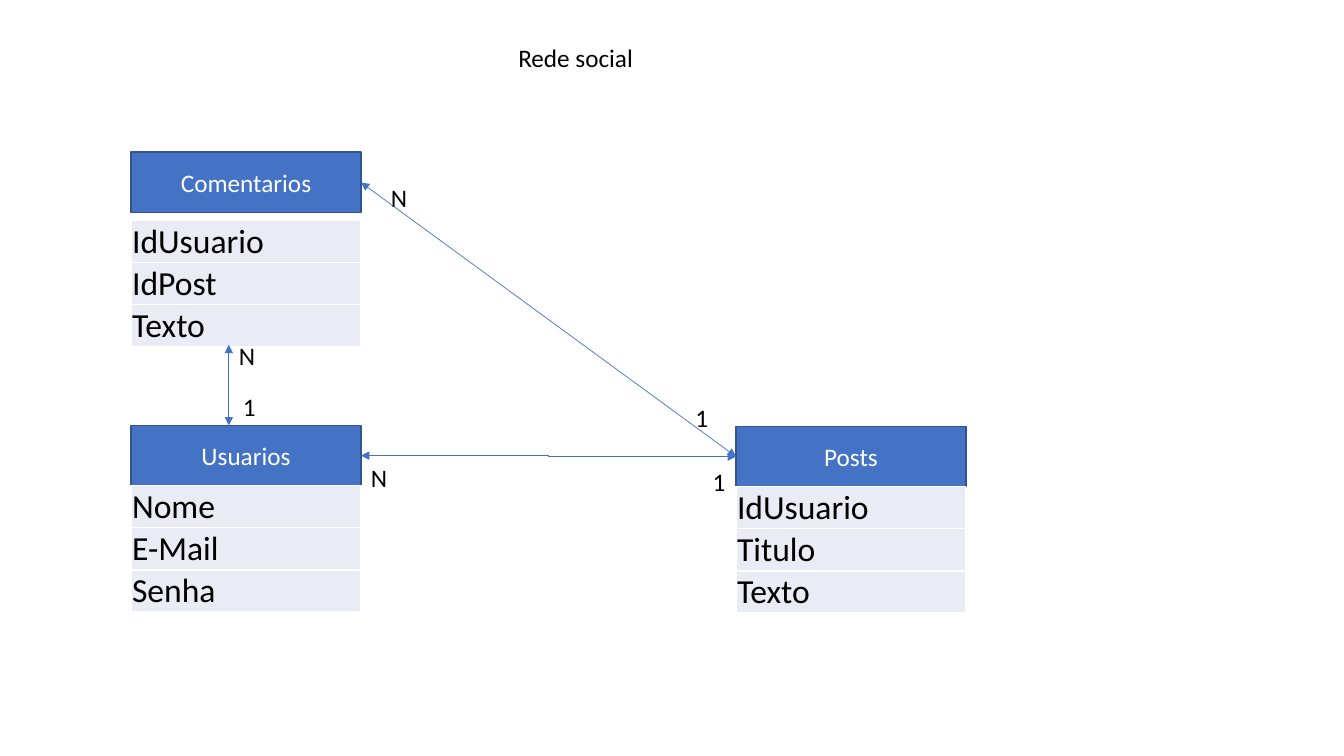
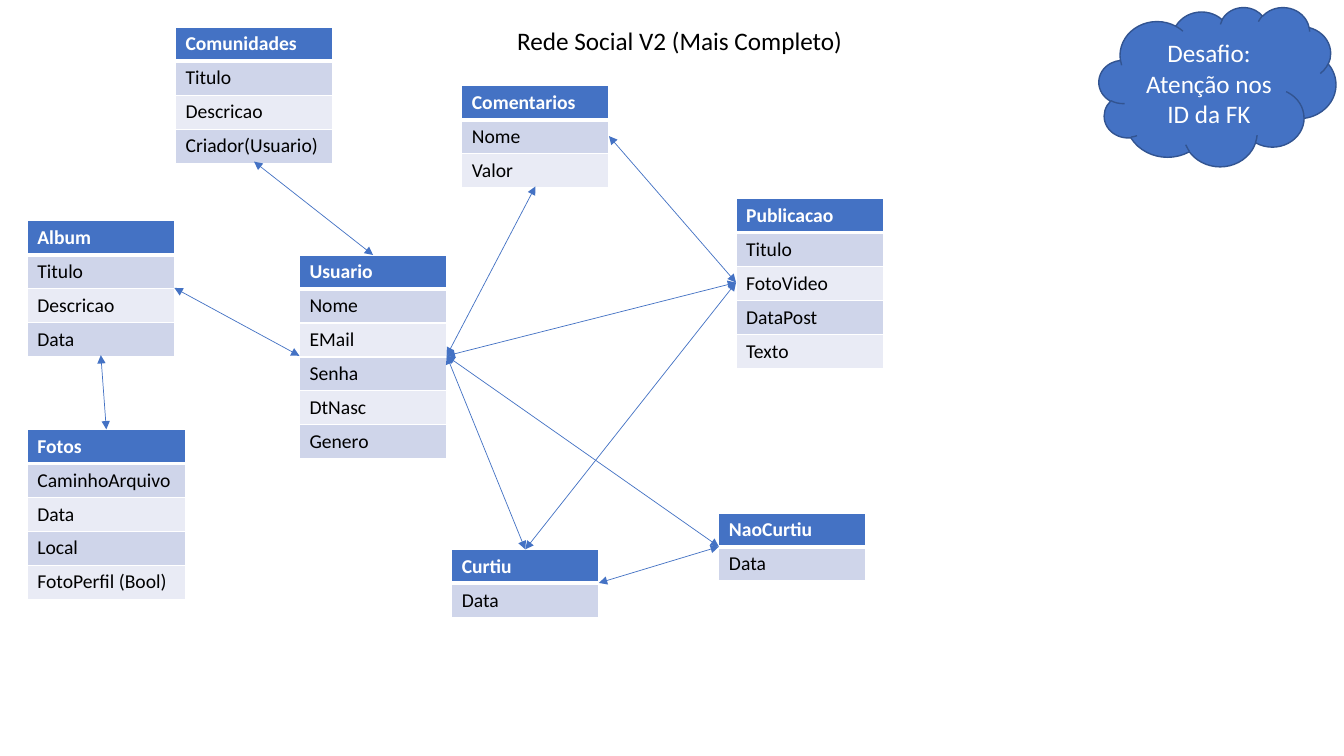
from dataclasses import dataclass

from lxml import etree
from pptx import Presentation
from pptx import util as u
from pptx.dml.color import RGBColor
from pptx.enum import shapes, text
from pptx.oxml import ns

TOP, LEFT, BOTTOM, RIGHT = range(4)


@dataclass(frozen=True)
class Theme:
    """Colours, type sizes and measures shared by the slides."""

    font: str = "Calibri"
    blue: str = "4472C4"
    outline: str = "325491"
    white: str = "FFFFFF"
    black: str = "000000"
    bands: tuple = ("E9EBF5", "CFD5EA")
    body: int = 18
    field: int = 24
    cell: int = 14
    field_row: float = 0.41
    cell_row: float = 1 / 3
    label_height: float = 0.4
    label_width: float = 0.36
    header_height: float = 0.6
    entity_width: float = 2.28


def add_xml(parent, tag, **attributes):
    """Append a drawing element to a parent element."""
    return etree.SubElement(parent, ns.qn(tag), **attributes)


def port(shape, side):
    """Return the middle of one side of a shape."""
    x = {LEFT: 0, RIGHT: shape.width}.get(side, shape.width // 2)
    y = {TOP: 0, BOTTOM: shape.height}.get(side, shape.height // 2)
    return shape.left + x, shape.top + y


class Diagram:
    """Draw entity diagrams on the current slide in one style."""

    def __init__(self, theme):
        self.theme = theme
        self.deck = Presentation()
        self.deck.slide_width = u.Inches(13.33)
        self.deck.slide_height = u.Inches(7.5)
        self.page = None

    def new_page(self, title, left, top, width):
        """Start a slide and place its title."""
        self.page = self.deck.slides.add_slide(self.deck.slide_layouts[5])
        box = self.page.shapes.title
        box.left, box.top = u.Inches(left), u.Inches(top)
        box.width, box.height = u.Inches(width), u.Inches(self.theme.label_height)
        self.plain_text(box, title)

    def set_text(self, frame, words, size, color, bold=False, align=text.PP_ALIGN.LEFT):
        """Fill a text frame with one formatted paragraph."""
        frame.text = words
        para = frame.paragraphs[0]
        para.alignment = align
        for span in para.runs:
            span.font.name = self.theme.font
            span.font.size = u.Pt(size)
            span.font.bold = bold
            span.font.color.rgb = RGBColor.from_string(color)

    def plain_text(self, box, words):
        """Set unwrapped black text at the top left of a box."""
        frame = box.text_frame
        self.set_text(frame, words, self.theme.body, self.theme.black)
        frame.word_wrap = False
        frame.auto_size = text.MSO_AUTO_SIZE.NONE
        frame.vertical_anchor = text.MSO_ANCHOR.TOP

    def label(self, words, left, top):
        """Add a cardinality label."""
        theme = self.theme
        box = self.page.shapes.add_textbox(
            u.Inches(left), u.Inches(top),
            u.Inches(theme.label_width), u.Inches(theme.label_height))
        self.plain_text(box, words)

    def block(self, kind, words, left, top, width, height):
        """Add a blue shape with centred white text."""
        theme = self.theme
        box = self.page.shapes.add_shape(
            kind, u.Inches(left), u.Inches(top), u.Inches(width), u.Inches(height))
        box.shadow.inherit = False
        box.fill.solid()
        box.fill.fore_color.rgb = RGBColor.from_string(theme.blue)
        box.line.color.rgb = RGBColor.from_string(theme.outline)
        box.line.width = u.Pt(1)
        self.set_text(box.text_frame, words, theme.body, theme.white,
                      align=text.PP_ALIGN.CENTER)
        box.text_frame.word_wrap = True
        box.text_frame.vertical_anchor = text.MSO_ANCHOR.MIDDLE
        return box

    def grid(self, rows, left, top, width, row_height):
        """Add an empty one-column table."""
        frame = self.page.shapes.add_table(
            rows, 1, u.Inches(left), u.Inches(top),
            u.Inches(width), u.Inches(row_height * rows))
        frame.table.horz_banding = False
        return frame

    def paint(self, cell, fill, top_line=1, bottom_line=1):
        """Give a cell white borders and a solid fill."""
        properties = cell._tc.get_or_add_tcPr()
        widths = {"a:lnL": 1, "a:lnR": 1, "a:lnT": top_line, "a:lnB": bottom_line}
        for tag, width in widths.items():
            border = add_xml(properties, tag, w=str(u.Pt(width)))
            add_xml(add_xml(border, "a:solidFill"), "a:srgbClr", val=self.theme.white)
        cell.fill.solid()
        cell.fill.fore_color.rgb = RGBColor.from_string(fill)

    def entity(self, name, left, top, fields, gap=0):
        """Add a header block with a table of fields under it."""
        theme = self.theme
        box = self.block(shapes.MSO_SHAPE.RECTANGLE, name, left, top,
                         theme.entity_width, theme.header_height)
        frame = self.grid(len(fields), left, top + theme.header_height + gap,
                          theme.entity_width, theme.field_row)
        frame.table.first_row = False
        for cell, field in zip(frame.table.iter_cells(), fields):
            self.paint(cell, theme.bands[0])
            cell.margin_left = cell.margin_right = cell.margin_top = u.Inches(0.01)
            cell.margin_bottom = 0
            cell.vertical_anchor = text.MSO_ANCHOR.BOTTOM
            self.set_text(cell.text_frame, field, theme.field, theme.black)
        return box

    def table(self, left, top, names, width=1.46):
        """Add a banded table whose first name is the header."""
        theme = self.theme
        frame = self.grid(len(names), left, top, width, theme.cell_row)
        for row, (cell, name) in enumerate(zip(frame.table.iter_cells(), names)):
            header = row == 0
            self.paint(cell, theme.blue if header else theme.bands[row % 2],
                       top_line=3 if row == 1 else 1, bottom_line=3 if header else 1)
            self.set_text(cell.text_frame, name, theme.cell,
                          theme.white if header else theme.black, bold=header)
        return frame

    def arrow(self, start, end, kind=shapes.MSO_CONNECTOR.STRAIGHT):
        """Add a thin line with an arrowhead at both ends."""
        line = self.page.shapes.add_connector(kind, *start, *end)
        line.line.color.rgb = RGBColor.from_string(self.theme.blue)
        line.line.width = u.Pt(0.5)
        properties = line._element.spPr
        stroke = properties.find(ns.qn("a:ln"))
        for tag in ("a:headEnd", "a:tailEnd"):
            add_xml(stroke, tag, type="triangle")
        add_xml(properties, "a:effectLst")
        return line

    def link(self, source, source_side, target, target_side,
             kind=shapes.MSO_CONNECTOR.STRAIGHT):
        """Join the sides of two shapes with an arrow."""
        line = self.arrow(port(source, source_side), port(target, target_side), kind)
        if not source.has_table:
            line.begin_connect(source, source_side)
        if not target.has_table:
            line.end_connect(target, target_side)


def draw_first_version(diagram):
    """Draw the three-entity model."""
    diagram.new_page("Rede social", 5.04, 0.37, 1.35)
    comments = diagram.entity("Comentarios", 1.3, 1.51,
                              ["IdUsuario", "IdPost", "Texto"], gap=0.08)
    users = diagram.entity("Usuarios", 1.3, 4.22, ["Nome", "E-Mail", "Senha"])
    posts = diagram.entity("Posts", 7.3, 4.23, ["IdUsuario", "Titulo", "Texto"])
    diagram.link(users, RIGHT, posts, LEFT, shapes.MSO_CONNECTOR.ELBOW)
    diagram.link(comments, RIGHT, posts, LEFT)
    diagram.arrow((u.Inches(2.27), u.Inches(3.42)), (u.Inches(2.27), users.top))
    for words, left, top in [
        ("N", 3.58, 4.54), ("1", 6.97, 4.58),
        ("N", 3.78, 1.76), ("1", 6.8, 3.94),
        ("N", 2.27, 3.33), ("1", 2.31, 3.83),
    ]:
        diagram.label(words, left, top)


def draw_second_version(diagram):
    """Draw the complete model."""
    diagram.new_page("Rede Social V2 (Mais Completo)", 5.03, 0.2, 3.46)
    user = diagram.table(2.97, 2.53, ["Usuario", "Nome", "EMail", "Senha",
                                      "DtNasc", "Genero"])
    like = diagram.table(4.48, 5.45, ["Curtiu", "Data"])
    dislike = diagram.table(7.13, 5.09, ["NaoCurtiu", "Data"])
    post = diagram.table(7.3, 1.97, ["Publicacao", "Titulo", "FotoVideo",
                                     "DataPost", "Texto"])
    album = diagram.table(0.27, 2.19, ["Album", "Titulo", "Descricao", "Data"])
    comment = diagram.table(4.58, 0.85, ["Comentarios", "Nome", "Valor"])
    photos = diagram.table(0.27, 4.26, ["Fotos", "CaminhoArquivo", "Data", "Local",
                                        "FotoPerfil (Bool)"], width=1.57)
    community = diagram.table(1.74, 0.27, ["Comunidades", "Titulo", "Descricao",
                                           "Criador(Usuario)"], width=1.56)
    diagram.block(shapes.MSO_SHAPE.CLOUD, "Desafio: Atenção nos ID da FK",
                  10.9, 0.07, 2.35, 1.58)
    for ends in [
        (comment, RIGHT, post, LEFT),
        (user, RIGHT, post, LEFT),
        (album, RIGHT, user, LEFT),
        (user, RIGHT, like, TOP),
        (like, TOP, post, LEFT),
        (album, BOTTOM, photos, TOP),
        (comment, BOTTOM, user, RIGHT),
        (user, RIGHT, dislike, LEFT),
        (like, RIGHT, dislike, LEFT),
        (community, BOTTOM, user, TOP),
    ]:
        diagram.link(*ends)


def main():
    """Build and save the deck."""
    diagram = Diagram(Theme())
    draw_first_version(diagram)
    draw_second_version(diagram)
    diagram.deck.save("out.pptx")


if __name__ == "__main__":
    main()
